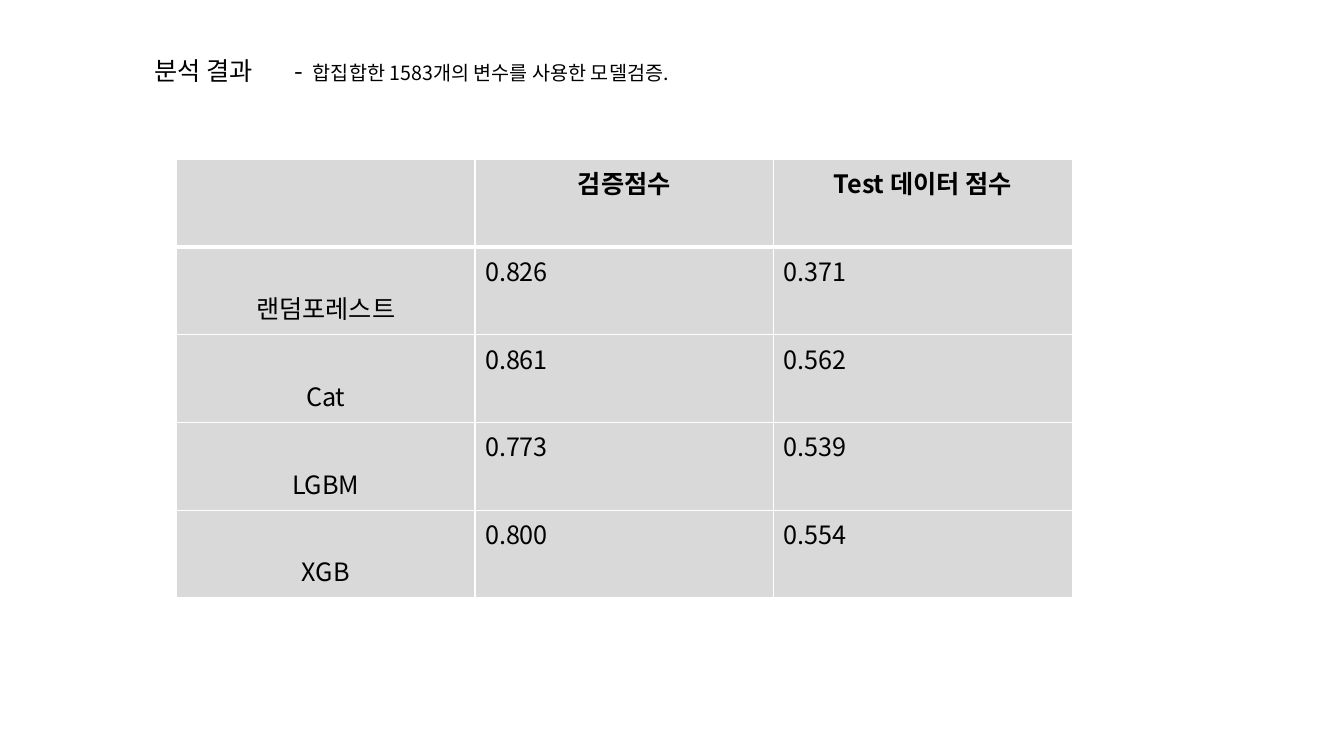
from typing import NamedTuple

from lxml import etree
from pptx import Presentation
from pptx import util as u
from pptx.dml import color
from pptx.enum import text
from pptx.oxml import ns

FONT = "Noto Sans CJK KR"
BLACK, WHITE, GRAY = "000000", "FFFFFF", "D9D9D9"
LEFT, CENTER = text.PP_ALIGN.LEFT, text.PP_ALIGN.CENTER
LABEL_TOP = 30.2  # model names sit one line lower than the scores


class Run(NamedTuple):
    words: str
    size: float = 18
    bold: bool = False


class Heading(NamedTuple):
    left: float
    width: float
    runs: list[Run]


class Score(NamedTuple):
    model: str
    validation: str
    test: str


HEADINGS = [
    Heading(103, 376.6, [Run("분석 결과")]),
    Heading(203, 416.2, [Run("- "), Run(" 합집합한 1583개의 변수를 사용한 모델검증.", 14)]),
]
SCORES = [
    Score("", "검증점수", "Test 데이터 점수"),
    Score("랜덤포레스트", "0.826", "0.371"),
    Score("Cat", "0.861", "0.562"),
    Score("LGBM", "0.773", "0.539"),
    Score("XGB", "0.800", "0.554"),
]


def rgb(hex_color: str) -> color.RGBColor:
    return color.RGBColor.from_string(hex_color)


def add_run(p, run: Run) -> None:
    r = p.add_run()
    r.text = run.words
    for name, value in {"name": FONT, "size": u.Pt(run.size), "bold": run.bold}.items():
        setattr(r.font, name, value)
    r.font.color.rgb = rgb(BLACK)
    ea = etree.SubElement(r.font._element, ns.qn("a:ea"))
    ea.set("typeface", FONT)


def add_heading(slide, heading: Heading) -> None:
    sp = slide.shapes.add_textbox(
        u.Pt(heading.left), u.Pt(36), u.Pt(heading.width), u.Pt(29))
    tf = sp.text_frame
    tf.word_wrap = True
    tf.auto_size = text.MSO_AUTO_SIZE.SHAPE_TO_FIT_TEXT
    for run in heading.runs:
        add_run(tf.paragraphs[0], run)


def set_borders(cell, widths: dict[str, float]) -> None:
    """Draw white cell edges; call before filling, as the XML order requires."""
    tc_pr = cell._tc.get_or_add_tcPr()
    for side, width in widths.items():
        ln = etree.SubElement(tc_pr, ns.qn(f"a:ln{side}"), w=str(u.Pt(width)))
        fill = etree.SubElement(ln, ns.qn("a:solidFill"))
        etree.SubElement(fill, ns.qn("a:srgbClr"), val=WHITE)


def add_score_table(slide, scores: list[Score]) -> None:
    table = slide.shapes.add_table(
        len(scores), 3, u.Pt(126), u.Pt(113.8), u.Pt(639.9), u.Pt(313.5)).table
    table.horz_banding = False
    for column in table.columns:
        column.width = u.Pt(213.3)
    for i, score in enumerate(scores):
        table.rows[i].height = u.Pt(62.7)
        header = i == 0
        for j, words in enumerate(score):
            cell = table.cell(i, j)
            set_borders(cell, {"L": 1, "R": 1, "T": 3 if i == 1 else 1,
                               "B": 3 if header else 1})
            cell.fill.solid()
            cell.fill.fore_color.rgb = rgb(GRAY)
            if j == 0 and not header:
                cell.margin_top = u.Pt(LABEL_TOP)
            p = cell.text_frame.paragraphs[0]
            p.alignment = CENTER if header or j == 0 else LEFT
            if words:
                add_run(p, Run(words, bold=header))


def main() -> None:
    prs = Presentation()
    prs.slide_width, prs.slide_height = u.Pt(960), u.Pt(540)
    slide = prs.slides.add_slide(prs.slide_layouts[6])
    for heading in HEADINGS:
        add_heading(slide, heading)
    add_score_table(slide, SCORES)
    prs.save("out.pptx")


if __name__ == "__main__":
    main()
